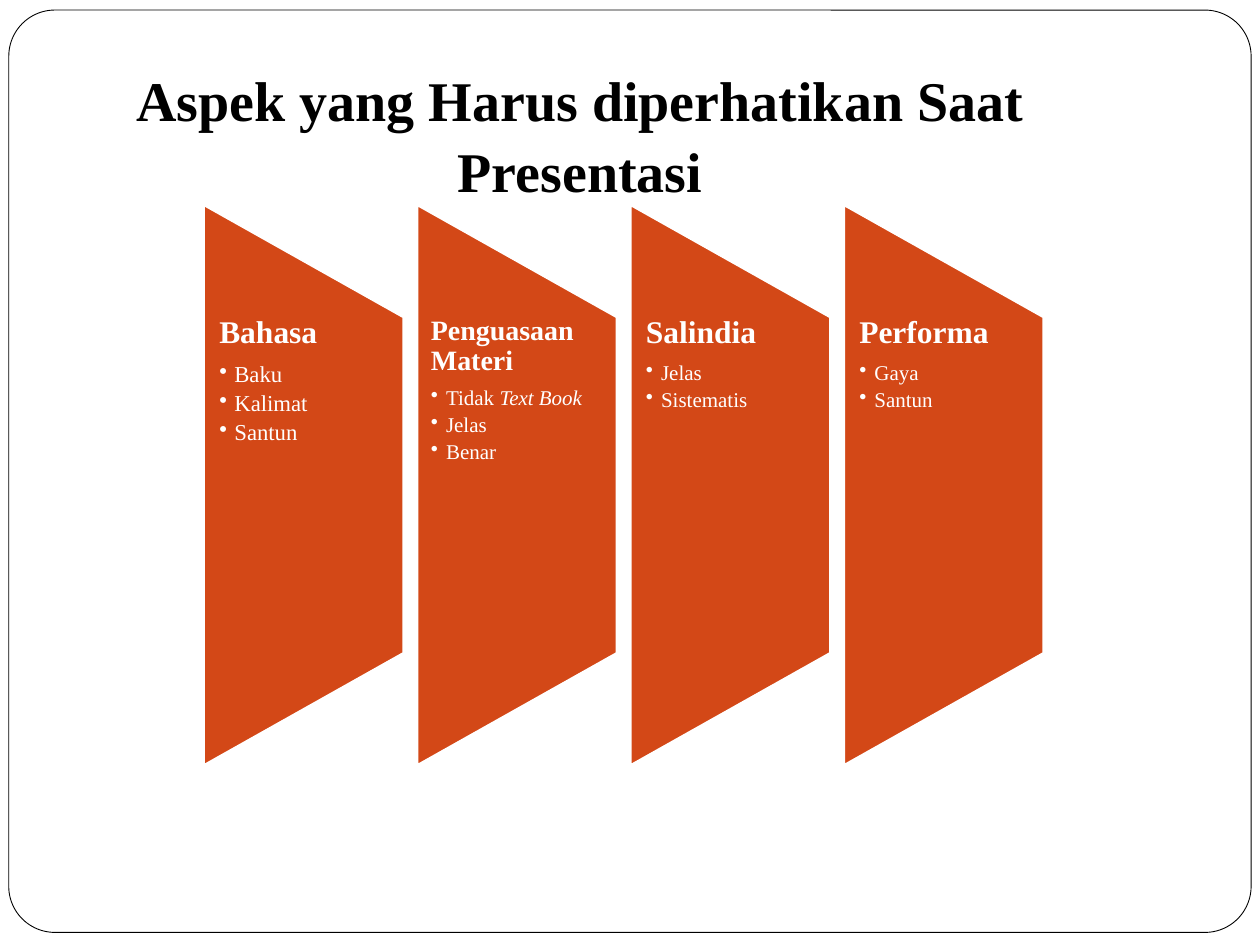
from pptx import Presentation, util as u
from pptx.dml.color import RGBColor
from pptx.enum import shapes, text
from pptx.oxml.ns import qn
from lxml import etree

HUES = {"ink": "000000", "paper": "FFFFFF", "rust": "D34817"}


def put(para, words, size, hue="paper", bold=False, italic=False):
    """Add one formatted run to a paragraph."""
    run = para.add_run()
    run.text = words
    font = run.font
    font.name, font.size = "Times New Roman", u.Pt(size)
    font.bold, font.italic = bold, italic
    font.color.rgb = RGBColor.from_string(HUES[hue])


class Deck:
    def __init__(self, wide, high):
        self.file = Presentation()
        self.file.slide_width = u.Inches(wide)
        self.file.slide_height = u.Inches(high)
        self.slide = self.file.slides.add_slide(self.file.slide_layouts[6])

    def shape(self, kind, box, fill, line, width, turn=0):
        item = self.slide.shapes.add_shape(kind, *map(u.Inches, box))
        item.shadow.inherit = False
        item.fill.solid()
        item.fill.fore_color.rgb = RGBColor.from_string(HUES[fill])
        item.line.color.rgb = RGBColor.from_string(HUES[line])
        item.line.width = u.Pt(width)
        item.rotation = turn
        return item

    def text(self, box, side=0.1, edge=0.05):
        frame = self.slide.shapes.add_textbox(*map(u.Inches, box)).text_frame
        frame.word_wrap = True
        frame.vertical_anchor = text.MSO_ANCHOR.TOP
        frame.margin_left = frame.margin_right = u.Inches(side)
        frame.margin_top = frame.margin_bottom = u.Inches(edge)
        return frame

    def bullet(self, frame, size):
        para = frame.add_paragraph()
        para.level = 1
        para.line_spacing, para.space_after = 0.9, u.Pt(0.2 * size)
        props = para._p.get_or_add_pPr()
        props.set("marL", str(u.Inches(0.12)))
        props.set("indent", str(-u.Inches(0.12)))
        etree.SubElement(props, qn("a:buChar")).set("char", "•")
        return para

    def panel(self, left, head, big, small, points):
        # Rotated trapezoid, centred on its text column
        wide, high, mid = 1.58, 4.44, 3.85
        box = (left + (wide - high) / 2, mid - wide / 2, high, wide)
        self.shape(shapes.MSO_SHAPE.FLOWCHART_MANUAL_OPERATION, box,
                   "rust", "paper", 1, 270)
        # Heading and bullets
        frame = self.text((left, 2.51, wide, 2.67), big / 150, 0)
        para = frame.paragraphs[0]
        para.line_spacing, para.space_after = 0.9, u.Pt(0.4 * big)
        put(para, head, big, bold=True)
        for runs in points:
            para = self.bullet(frame, small)
            for num, words in enumerate(runs):
                put(para, words, small, italic=num > 0)


deck = Deck(10, 7.5)

# Page frame
frame = deck.shape(shapes.MSO_SHAPE.ROUNDED_RECTANGLE,
                   (0.07, 0.08, 9.86, 7.32), "paper", "ink", 0.5)
frame.adjustments[0] = 0.05

# Four aspects; a second run in a point is italic
ASPECTS = [
    ("Bahasa", 18, 13, [["Baku"], ["Kalimat"], ["Santun"]]),
    ("Penguasaan Materi", 16, 12,
     [["Tidak ", "Text Book"], ["Jelas"], ["Benar"]]),
    ("Salindia", 18, 12, [["Jelas"], ["Sistematis"]]),
    ("Performa", 18, 12, [["Gaya"], ["Santun"]]),
]
for num, aspect in enumerate(ASPECTS):
    deck.panel(1.62 + num * 5.08 / 3, *aspect)

# Title
para = deck.text((0.67, 0.44, 7.87, 1.18)).paragraphs[0]
para.alignment = text.PP_ALIGN.CENTER
para.line_spacing = 1.06
put(para, "Aspek yang Harus diperhatikan Saat Presentasi", 32, "ink", bold=True)

deck.file.save("out.pptx")
